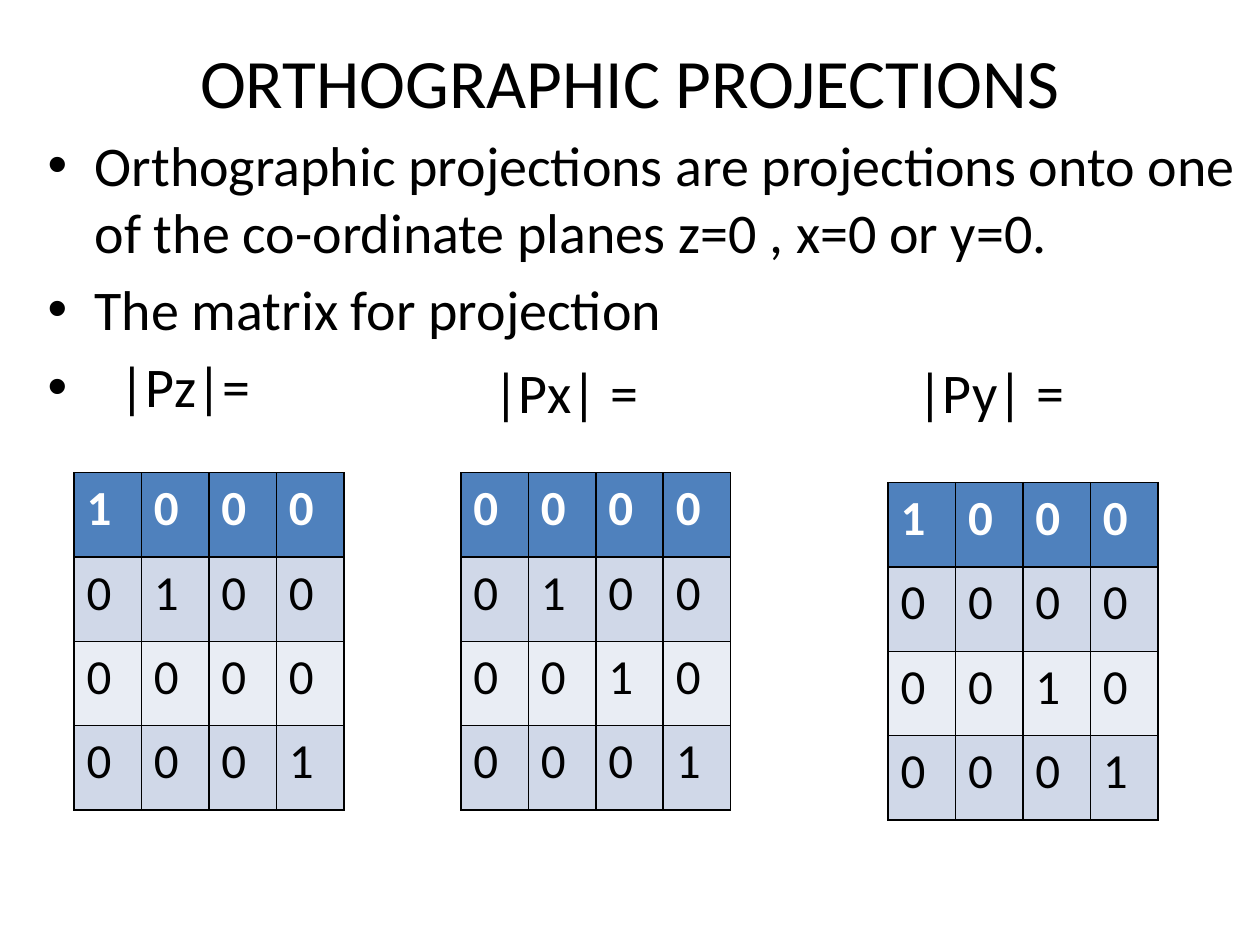
"""Build the slide on orthographic projections and their matrices."""
from dataclasses import dataclass

import pptx
import pptx.dml.color
import pptx.enum.text
import pptx.oxml
import pptx.oxml.ns
import pptx.util
from pptx.util import Cm


@dataclass(frozen=True)
class Theme:
    font: str = "Calibri"
    ink: str = "000000"
    header_ink: str = "FFFFFF"
    header: str = "4F81BD"
    bands: tuple = ("D0D8E8", "E9EDF4")
    title_size: float = 39.6
    body_size: float = 32
    cell_size: float = 28
    border: float = 1


THEME = Theme()
STATEMENTS = (
    "Orthographic projections are projections onto one of the co-ordinate planes z=0 , x=0 or y=0.",
    "The matrix for projection",
)
FIRST_LABEL = "|Pz|="
LABELS = (("|Px| =", 9.69), ("|Py| =", 18.24))
LABEL_TOP = 7.08
MATRICES = (
    ("1000 0100 0000 0001", 1.49, 9.53),
    ("0000 0100 0010 0001", 9.29, 9.53),
    ("1000 0000 0010 0001", 17.9, 9.73),
)
COLUMN_WIDTH, ROW_HEIGHT = 1.36, 1.7


def style(paragraph, size, color=THEME.ink, bold=False):
    paragraph.font.name = THEME.font
    paragraph.font.size = pptx.util.Pt(size)
    paragraph.font.bold = bold
    paragraph.font.color.rgb = pptx.dml.color.RGBColor.from_string(color)


def add_child(parent, xml):
    child = pptx.oxml.parse_xml(xml.replace(" ", f" {pptx.oxml.ns.nsdecls('a')} ", 1))
    parent.append(child)
    return child


def set_title(slide, text):
    title = slide.shapes.title
    title.left, title.top, title.width, title.height = Cm(1.27), Cm(0.76), Cm(22.86), Cm(1.75)
    title.text_frame.text = text
    title.text_frame.vertical_anchor = pptx.enum.text.MSO_ANCHOR.MIDDLE
    heading = title.text_frame.paragraphs[0]
    heading.alignment = pptx.enum.text.PP_ALIGN.CENTER
    style(heading, THEME.title_size)


def add_text(slide, lines, left, top, width, height):
    frame = slide.shapes.add_textbox(Cm(left), Cm(top), Cm(width), Cm(height)).text_frame
    frame.word_wrap = True
    frame.text = "\n".join(lines)
    for paragraph in frame.paragraphs:
        style(paragraph, THEME.body_size)
    return frame.paragraphs


def add_bullet(paragraph, indent):
    paragraph.space_before = pptx.util.Pt(5.6)
    properties = paragraph._p.get_or_add_pPr()
    properties.set("marL", str(Cm(indent)))
    properties.set("indent", str(-Cm(indent)))
    bullet = [
        pptx.oxml.parse_xml(f'<a:buFont {pptx.oxml.ns.nsdecls("a")} typeface="Arial"/>'),
        pptx.oxml.parse_xml(f'<a:buChar {pptx.oxml.ns.nsdecls("a")} char="•"/>'),
    ]
    defaults = properties.find(pptx.oxml.ns.qn("a:defRPr"))
    for element in bullet:
        if defaults is None:
            properties.append(element)
        else:
            defaults.addprevious(element)


def add_borders(cell):
    properties = cell._tc.get_or_add_tcPr()
    for position, side in enumerate(("lnL", "lnR", "lnT", "lnB")):
        line = add_child(
            properties,
            f'<a:{side} w="{pptx.util.Pt(THEME.border)}"><a:solidFill>'
            f'<a:srgbClr val="{THEME.ink}"/></a:solidFill></a:{side}>',
        )
        properties.insert(position, line)


def add_matrix(slide, entries, left, top):
    rows = entries.split()
    count = len(rows)
    matrix = slide.shapes.add_table(
        count, count, Cm(left), Cm(top), Cm(COLUMN_WIDTH * count), Cm(ROW_HEIGHT * count)
    ).table
    for r, row in enumerate(rows):
        is_header = r == 0
        fill = THEME.header if is_header else THEME.bands[(r - 1) % 2]
        ink = THEME.header_ink if is_header else THEME.ink
        for c, entry in enumerate(row):
            cell = matrix.cell(r, c)
            cell.text = entry
            style(cell.text_frame.paragraphs[0], THEME.cell_size, ink, is_header)
            cell.fill.solid()
            cell.fill.fore_color.rgb = pptx.dml.color.RGBColor.from_string(fill)
            add_borders(cell)


def main():
    deck = pptx.Presentation()
    deck.slide_width, deck.slide_height = Cm(25.4), Cm(19.05)
    slide = deck.slides.add_slide(deck.slide_layouts.get_by_name("Title Only"))
    set_title(slide, "ORTHOGRAPHIC PROJECTIONS")
    *statements, first_label = add_text(slide, (*STATEMENTS, FIRST_LABEL), 0.71, 2.51, 24.69, 15.6)
    for statement in statements:
        add_bullet(statement, 0.95)
    add_bullet(first_label, 1.46)
    for label, left in LABELS:
        add_text(slide, (label,), left, LABEL_TOP, 4, 1.63)
    for entries, left, top in MATRICES:
        add_matrix(slide, entries, left, top)
    deck.save("out.pptx")


if __name__ == "__main__":
    main()
